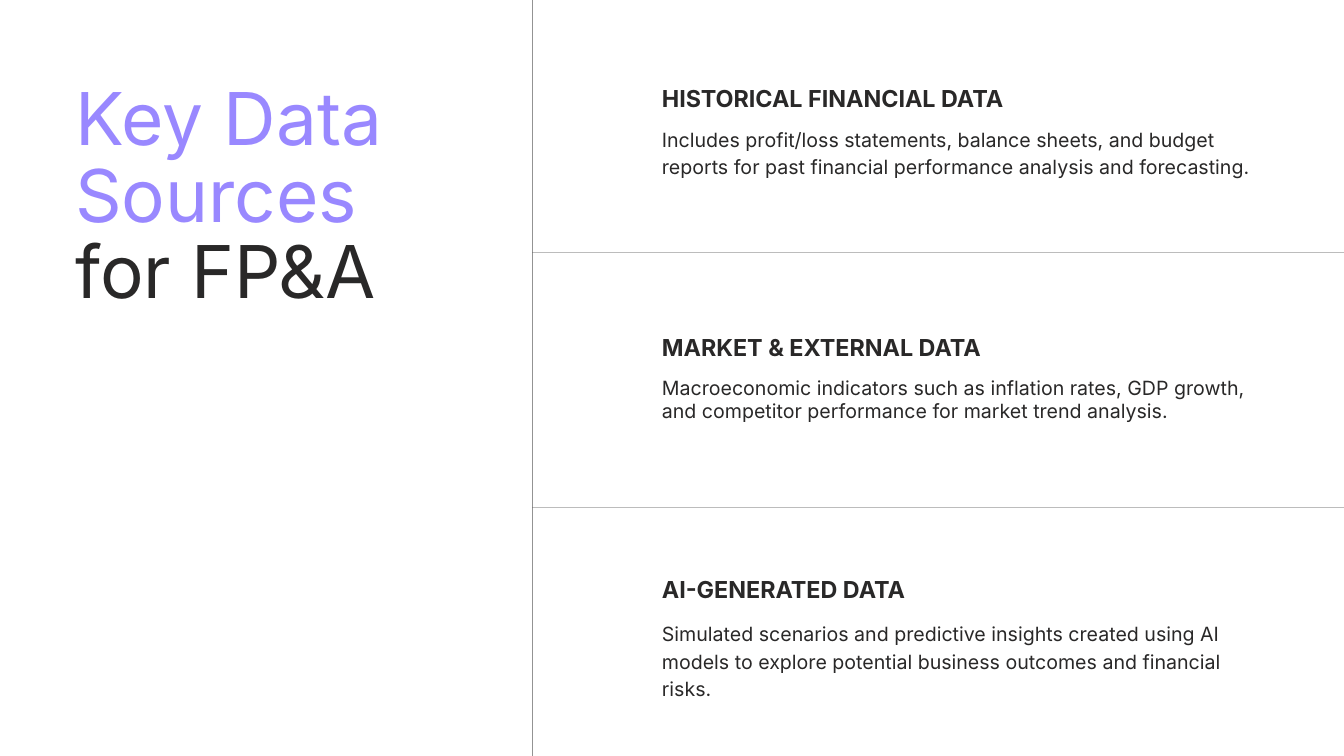
"""Build the slide on key data sources for FP&A."""
from dataclasses import dataclass
from typing import Optional

from lxml import etree
from pptx import Presentation
from pptx.dml.color import RGBColor
from pptx.enum import shapes, text
from pptx.oxml import ns
from pptx.util import Pt


@dataclass(frozen=True)
class Theme:
    """Colours, font and type sizes."""
    ink: RGBColor = RGBColor(0x29, 0x28, 0x28)
    accent: RGBColor = RGBColor(0x99, 0x88, 0xFF)
    face: str = "Inter"
    title: float = 78
    head: float = 25
    body: float = 21


@dataclass(frozen=True)
class Rule:
    """A thin line between two points."""
    x1: float
    y1: float
    x2: float
    y2: float
    alpha: int


@dataclass(frozen=True)
class Source:
    """A data source with its heading and summary."""
    head: str
    body: str
    top: float
    low: float
    tall: float
    lead: Optional[float] = 29.4


THEME = Theme()
WIDE, HIGH = 1440, 810
SPLIT, LEFT, SPAN = 570.5, 709.2, 650
RULES = [Rule(SPLIT, 0, SPLIT, HIGH, 50)] + [
    Rule(SPLIT, y, WIDE, y, 48) for y in (270.7, 543.6)]
SOURCES = [
    Source("HISTORICAL FINANCIAL DATA",
           "Includes profit/loss statements, balance sheets, and budget reports "
           "for past financial performance analysis and forecasting.",
           85, 132.5, 56),
    Source("MARKET & EXTERNAL DATA",
           "Macroeconomic indicators such as inflation rates, GDP growth, and "
           "competitor performance for market trend analysis.",
           351.4, 402.5, 51, None),
    Source("AI-GENERATED DATA",
           "Simulated scenarios and predictive insights created using AI models "
           "to explore potential business outcomes and financial risks.",
           611.3, 662.4, 86),
]


def draw_rule(slide, rule: Rule) -> None:
    """Draw one translucent line."""
    line = slide.shapes.add_connector(
        shapes.MSO_CONNECTOR.STRAIGHT,
        Pt(rule.x1), Pt(rule.y1), Pt(rule.x2), Pt(rule.y2))
    line.line.width = Pt(0.75)
    line.line.color.rgb = THEME.ink
    props = line._element.spPr
    tint = props.find(".//" + ns.qn("a:srgbClr"))
    etree.SubElement(tint, ns.qn("a:alpha"), val=str(rule.alpha * 1000))
    etree.SubElement(props, ns.qn("a:effectLst"))


def set_frame(frame) -> None:
    """Give a text frame wrapping, no insets and a top anchor."""
    frame.word_wrap = True
    frame.auto_size = text.MSO_AUTO_SIZE.NONE
    frame.vertical_anchor = text.MSO_ANCHOR.TOP
    frame.margin_left = frame.margin_right = 0
    frame.margin_top = frame.margin_bottom = 0


def set_font(para, size: float, bold: bool = False) -> None:
    """Set the font of a left-aligned paragraph."""
    para.alignment = text.PP_ALIGN.LEFT
    para.font.name = THEME.face
    para.font.size = Pt(size)
    para.font.bold = bold
    para.font.color.rgb = THEME.ink


def draw_title(slide) -> None:
    """Fill and place the two-colour title."""
    title = slide.shapes.title
    title.left, title.top = Pt(80.6), Pt(90)
    title.width, title.height = Pt(405.4), Pt(248.4)
    set_frame(title.text_frame)
    para = title.text_frame.paragraphs[0]
    set_font(para, THEME.title)
    para.line_spacing = Pt(81.9)
    run = para.add_run()
    run.text = "Key Data Sources "
    run.font.color.rgb = THEME.accent
    para.add_run().text = "for FP&A"


def draw_text(slide, words: str, top: float, tall: float, size: float,
              lead: Optional[float], bold: bool = False) -> None:
    """Draw one text box in the right column."""
    box = slide.shapes.add_textbox(Pt(LEFT), Pt(top), Pt(SPAN), Pt(tall))
    set_frame(box.text_frame)
    para = box.text_frame.paragraphs[0]
    para.text = words
    set_font(para, size, bold)
    if lead:
        para.line_spacing = Pt(lead)


def draw_source(slide, item: Source) -> None:
    """Draw a heading and its summary."""
    draw_text(slide, item.head, item.top, 32.4, THEME.head, 35, True)
    draw_text(slide, item.body, item.low, item.tall, THEME.body, item.lead)


def main() -> None:
    """Build and save the deck."""
    deck = Presentation()
    deck.slide_width, deck.slide_height = Pt(WIDE), Pt(HIGH)
    slide = deck.slides.add_slide(deck.slide_layouts.get_by_name("Title Only"))
    for rule in RULES:
        draw_rule(slide, rule)
    draw_title(slide)
    for item in SOURCES:
        draw_source(slide, item)
    deck.save("out.pptx")


if __name__ == "__main__":
    main()
